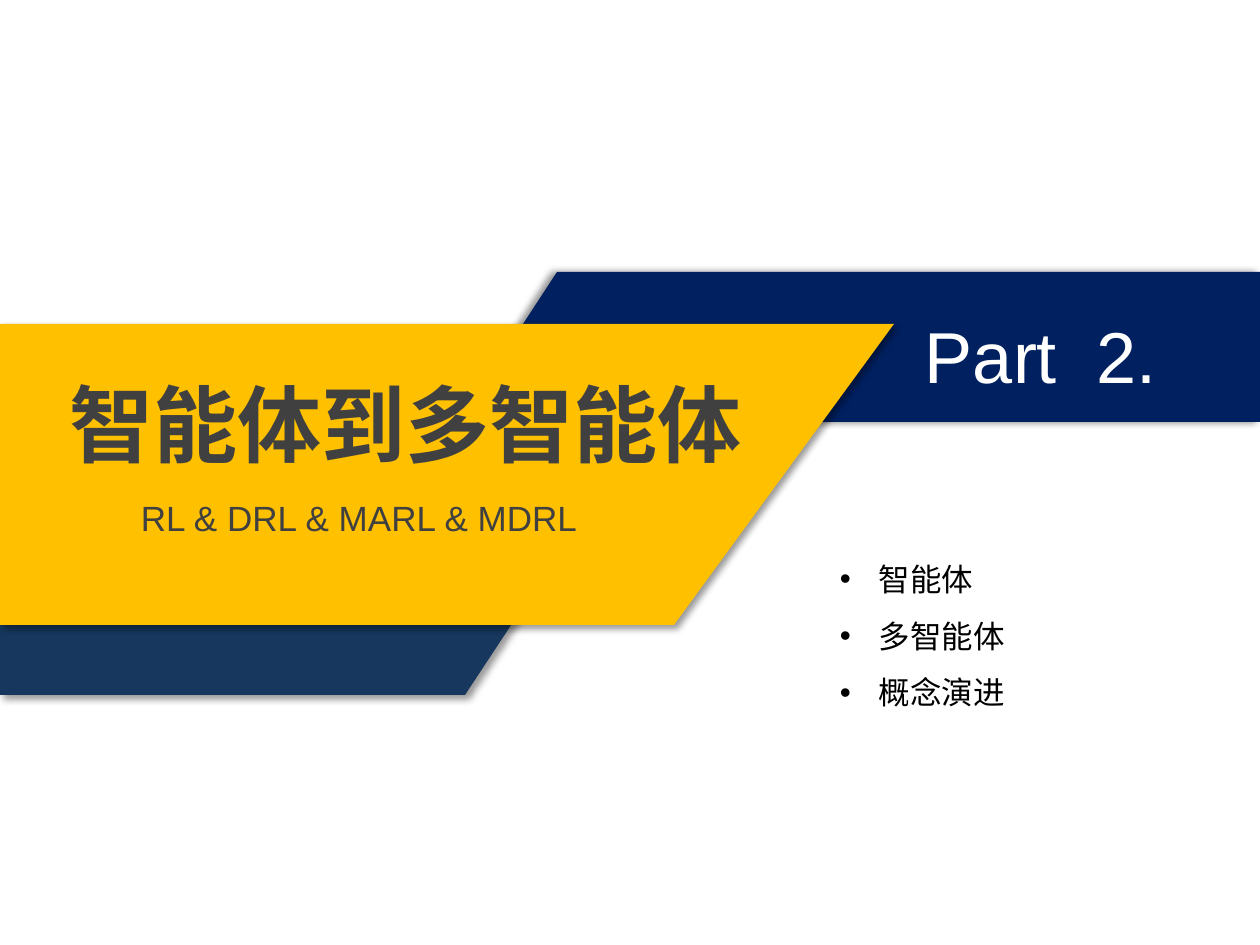
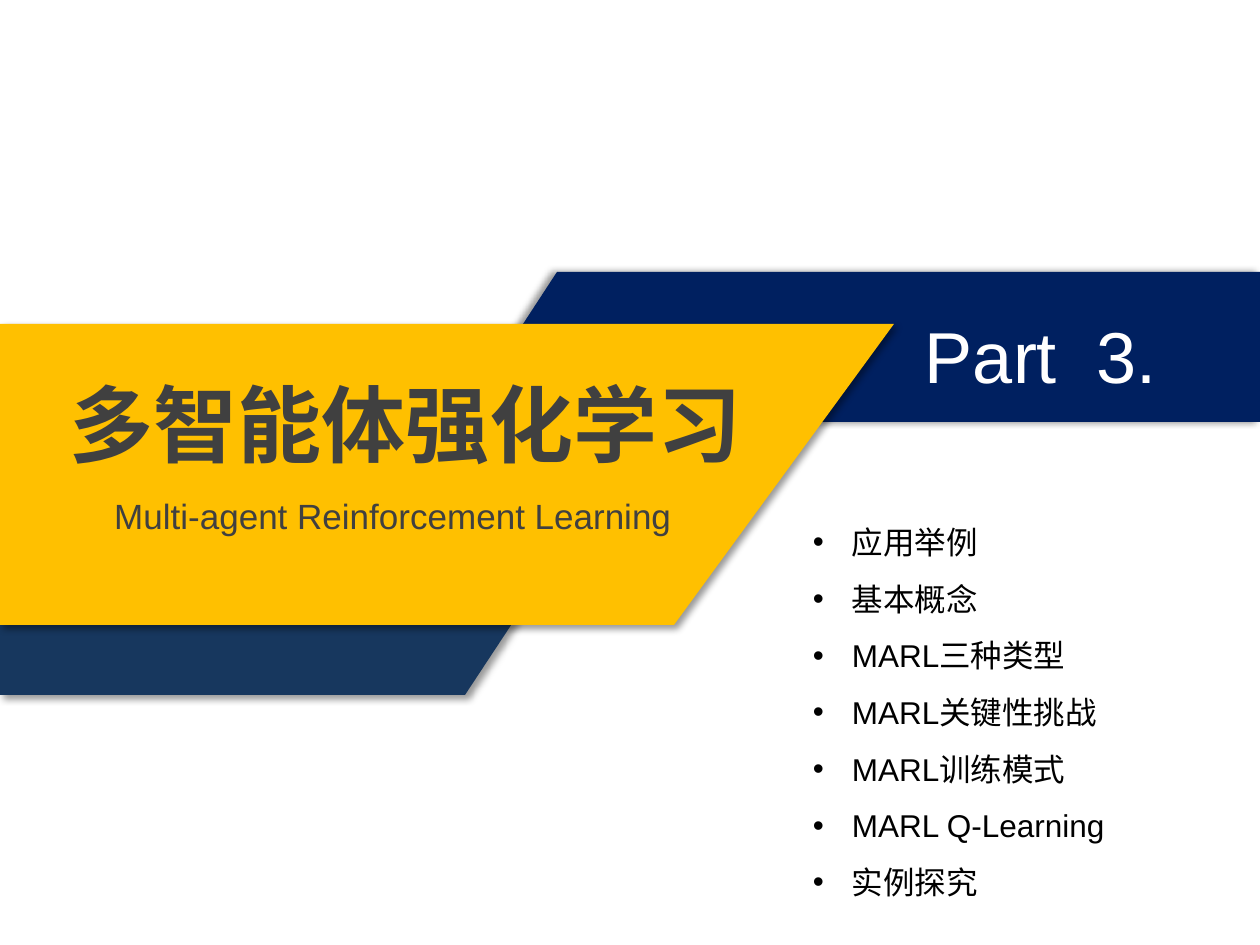
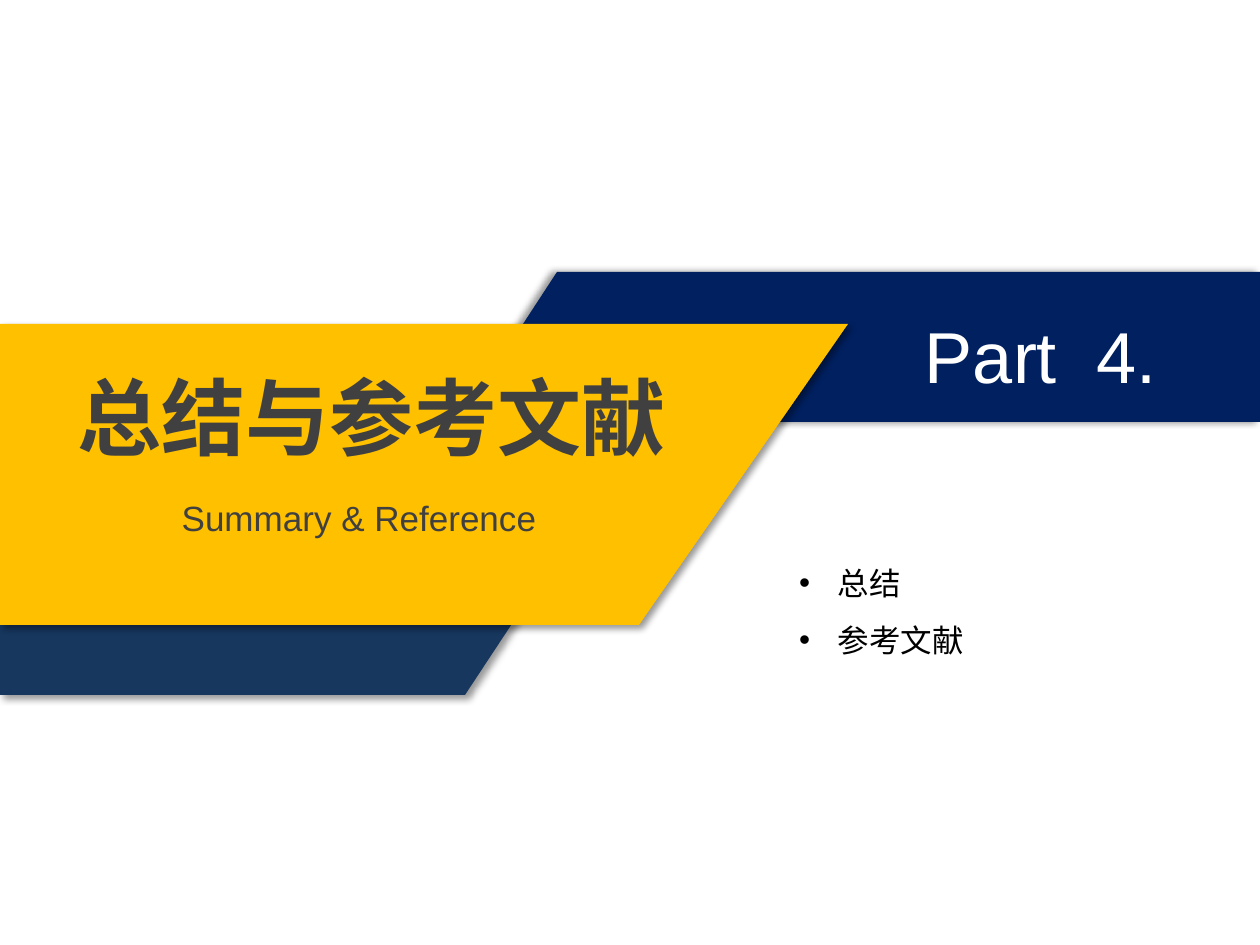
"""Build three section divider slides that share angled bands and text styles."""
from itertools import groupby

from lxml.etree import SubElement
from pptx import Presentation
from pptx.dml.color import RGBColor
from pptx.enum.text import MSO_ANCHOR, MSO_AUTO_SIZE, PP_ALIGN
from pptx.oxml.ns import qn
from pptx.util import Pt

PX = 914400 / 126
SLIDE_WIDTH, SLIDE_HEIGHT = 1260, 945
LATIN_FONT, CHINESE_FONT = "Arial", "Noto Sans CJK SC"
COLORS = {
    "blue": "17375E",
    "navy": "002060",
    "gold": "FFC000",
    "white": "FFFFFF",
    "gray": "404040",
    "black": "000000",
}
PART_BOX = (916, 301, 260, 101)
BULLET_INDENT = 39

SECTIONS = [
    {
        "part": "Part  2.",
        "title": "智能体到多智能体",
        "subtitle": "RL & DRL & MARL & MDRL",
        "topics": ["智能体", "多智能体", "概念演进"],
        "gold_corners": (894, 674),
        "title_box": (10, 365, 791, 115),
        "subtitle_box": (35, 489, 648, 55),
        "topics_box": (827, 533, 315, 184),
    },
    {
        "part": "Part  3.",
        "title": "多智能体强化学习",
        "subtitle": "Multi-agent Reinforcement Learning",
        "topics": ["应用举例", "基本概念", "MARL三种类型", "MARL关键性挑战",
                   "MARL训练模式", "MARL Q-Learning", "实例探究"],
        "gold_corners": (894, 674),
        "title_box": (10, 365, 791, 115),
        "subtitle_box": (69, 488, 648, 55),
        "topics_box": (800, 496, 415, 413),
    },
    {
        "part": "Part  4.",
        "title": "总结与参考文献",
        "subtitle": "Summary & Reference",
        "topics": ["总结", "参考文献"],
        "gold_corners": (848, 639),
        "title_box": (-24, 358, 791, 115),
        "subtitle_box": (35, 489, 648, 55),
        "topics_box": (786, 537, 377, 127),
    },
]


def px(length):
    """Turn pixels into EMU."""
    return round(length * PX)


def add_band(slide, corners, color, shadow_angle):
    """Draw a filled outline with a soft shadow."""
    builder = slide.shapes.build_freeform(*corners[0], scale=PX)
    builder.add_line_segments(corners[1:], close=True)
    band = builder.convert_to_shape()
    band.fill.solid()
    band.fill.fore_color.rgb = RGBColor.from_string(COLORS[color])
    band.line.fill.background()
    band.shadow.inherit = False
    effects = band._element.spPr.find(qn("a:effectLst"))
    shadow = SubElement(effects, qn("a:outerShdw"), blurRad=str(Pt(4)), dist=str(Pt(3)),
                        dir=str(shadow_angle * 60000), algn="tl", rotWithShape="0")
    shadow_color = SubElement(shadow, qn("a:srgbClr"), val=COLORS["black"])
    SubElement(shadow_color, qn("a:alpha"), val="40000")


def add_bands(slide, gold_corners):
    """Draw the blue, navy and gold bands from back to front."""
    gold_top, gold_bottom = gold_corners
    add_band(slide, [(0, 601), (527, 601), (465, 695), (0, 695)], "blue", 45)
    add_band(slide, [(557, 272), (SLIDE_WIDTH, 272), (SLIDE_WIDTH, 422), (459, 422)],
             "navy", 180)
    add_band(slide, [(0, 324), (gold_top, 324), (gold_bottom, 625), (0, 625)], "gold", 45)


def place(shape, box, anchor, margins=(13, 6)):
    """Set the place of a text shape and the way its text sits."""
    shape.left, shape.top, shape.width, shape.height = map(px, box)
    frame = shape.text_frame
    frame.auto_size = MSO_AUTO_SIZE.NONE
    frame.word_wrap = True
    frame.vertical_anchor = anchor
    side, end = map(px, margins)
    frame.margin_left = frame.margin_right = side
    frame.margin_top = frame.margin_bottom = end
    return frame


def add_text(paragraph, text, size, color, bold=False, align=PP_ALIGN.LEFT):
    """Add one run for each stretch of Latin or Chinese text."""
    paragraph.alignment = align
    for is_latin, letters in groupby(text, str.isascii):
        run = paragraph.add_run()
        run.text = "".join(letters)
        run.font.size = Pt(size)
        run.font.bold = bold
        run.font.color.rgb = RGBColor.from_string(COLORS[color])
        run.font.name = LATIN_FONT if is_latin else CHINESE_FONT
        SubElement(run._r.get_or_add_rPr(), qn("a:ea"), typeface=CHINESE_FONT)


def add_topics(frame, topics):
    """Fill a frame with a bulleted list."""
    for index, topic in enumerate(topics):
        paragraph = frame.add_paragraph() if index else frame.paragraphs[0]
        paragraph.line_spacing = Pt(32.4)
        paragraph.space_before = paragraph.space_after = Pt(0)
        properties = paragraph._p.get_or_add_pPr()
        properties.set("marL", str(px(BULLET_INDENT)))
        properties.set("indent", str(-px(BULLET_INDENT)))
        SubElement(properties, qn("a:buFont"), typeface=LATIN_FONT)
        SubElement(properties, qn("a:buChar"), char="•")
        add_text(paragraph, topic, 18, "black")


def add_section(presentation, section):
    """Add one section divider slide."""
    slide = presentation.slides.add_slide(presentation.slide_layouts[1])
    add_bands(slide, section["gold_corners"])
    title, body = slide.placeholders

    part = slide.shapes.add_textbox(0, 0, 0, 0)
    frame = place(part, PART_BOX, MSO_ANCHOR.BOTTOM, (9, 4))
    add_text(frame.paragraphs[0], section["part"], 41.2, "white")

    slide.shapes._spTree.append(title._element)
    frame = place(title, section["title_box"], MSO_ANCHOR.MIDDLE)
    add_text(frame.paragraphs[0], section["title"], 48, "gray", True, PP_ALIGN.CENTER)

    subtitle = slide.shapes.add_textbox(0, 0, 0, 0)
    frame = place(subtitle, section["subtitle_box"], MSO_ANCHOR.BOTTOM)
    add_text(frame.paragraphs[0], section["subtitle"], 20, "gray", align=PP_ALIGN.CENTER)

    slide.shapes._spTree.append(body._element)
    frame = place(body, section["topics_box"], MSO_ANCHOR.TOP, (13, 8))
    add_topics(frame, section["topics"])


def main():
    """Build and save the presentation."""
    presentation = Presentation()
    presentation.slide_width = px(SLIDE_WIDTH)
    presentation.slide_height = px(SLIDE_HEIGHT)
    for section in SECTIONS:
        add_section(presentation, section)
    presentation.save("out.pptx")


if __name__ == "__main__":
    main()
